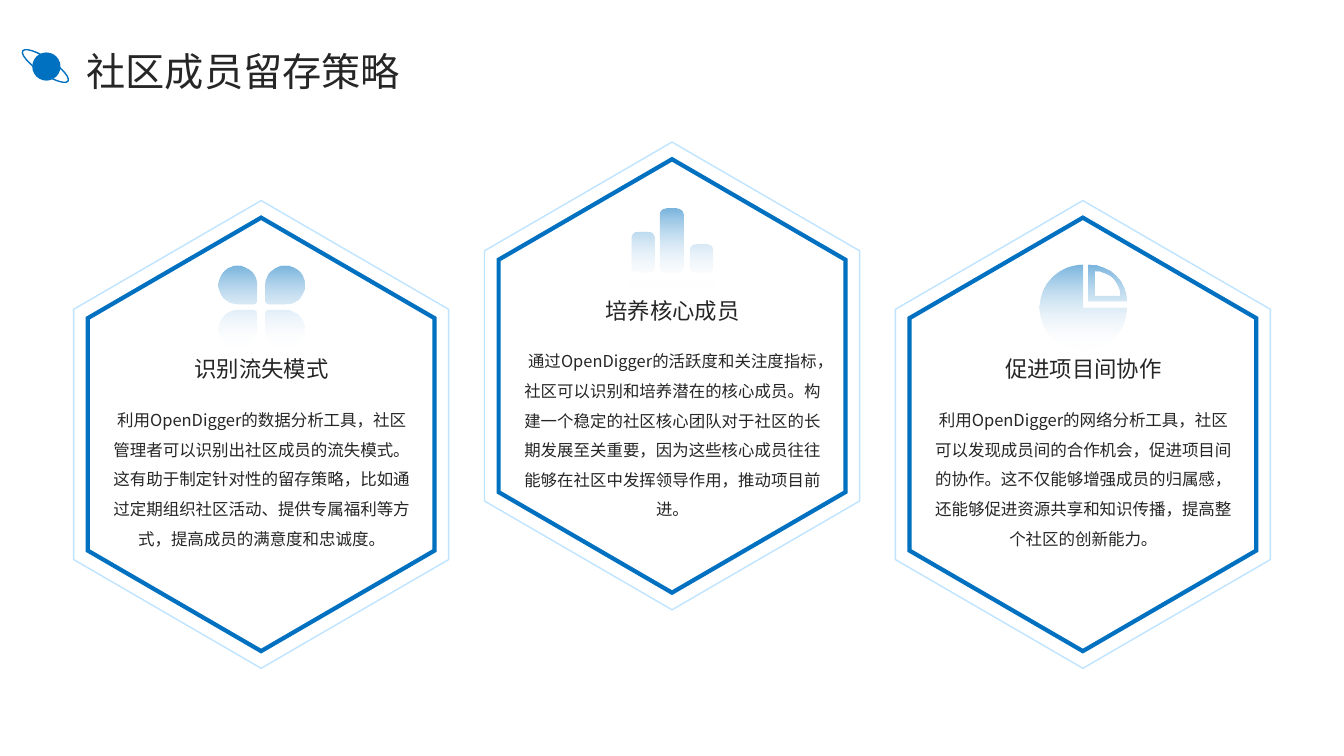
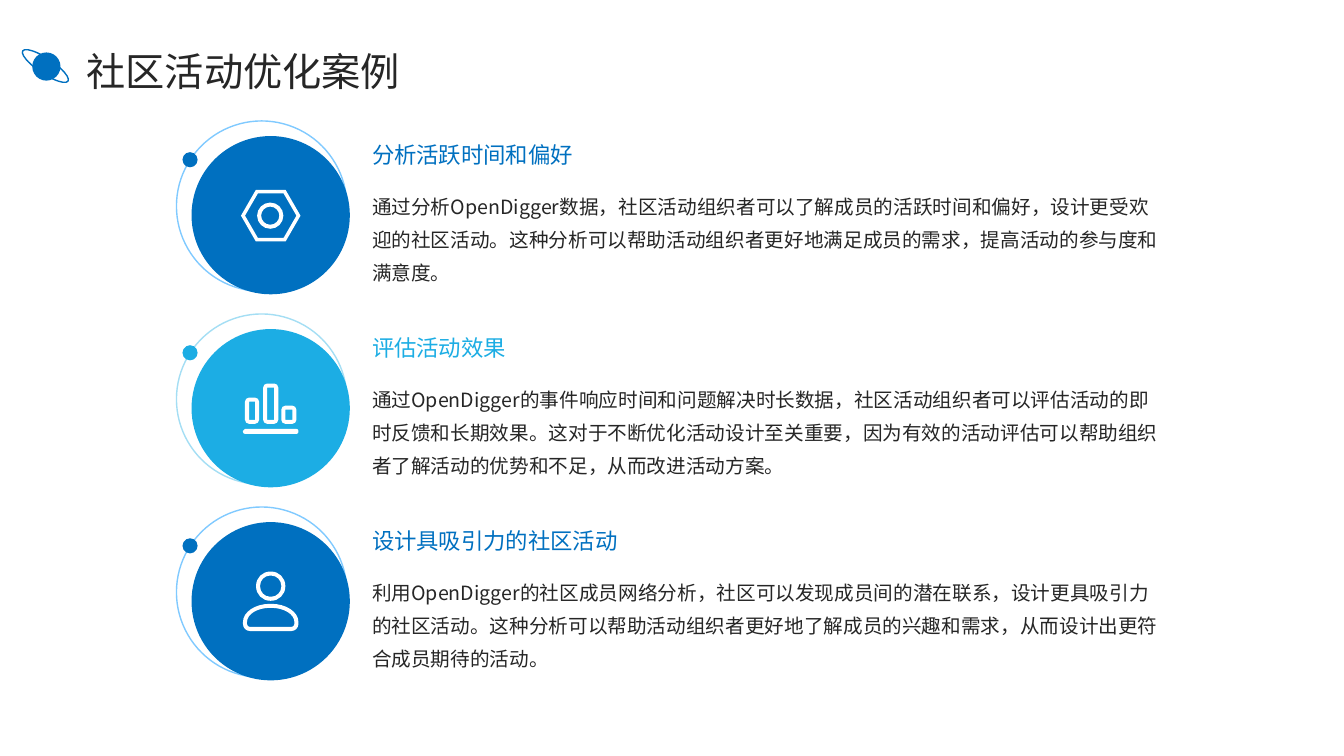
"""Build two slides on keeping community members and improving events."""
import math

import lxml.etree
import pptx
import pptx.dml.color
import pptx.enum.shapes
import pptx.enum.text
import pptx.oxml.ns
import pptx.util

Inches = pptx.util.Inches
Pt = pptx.util.Pt
KIND = pptx.enum.shapes.MSO_SHAPE
ALIGN = pptx.enum.text.PP_ALIGN
ANCHOR = pptx.enum.text.MSO_ANCHOR
qn = pptx.oxml.ns.qn
rgb = pptx.dml.color.RGBColor.from_string

FONT = "Noto Sans CJK SC"
INK, BLUE, SKY, WHITE = "262626", "0070C0", "1CADE4", "FFFFFF"
PALE, SOFT, MIST = "BFE4FF", "80CAFF", "A4DEF4"
BEND = 0.55


def draw(shapes, kind, x, y, w, h, fill=None, line=None, width=1, turn=0):
    shape = shapes.add_shape(kind, Inches(x), Inches(y), Inches(w), Inches(h))
    shape.shadow.inherit = False
    shape.rotation = turn
    if fill:
        shape.fill.solid()
        shape.fill.fore_color.rgb = rgb(fill)
    else:
        shape.fill.background()
    if line:
        shape.line.color.rgb = rgb(line)
        shape.line.width = Pt(width)
        edge = shape._element.spPr.find(qn("a:ln"))
        lxml.etree.SubElement(edge, qn("a:miter")).set("lim", "800000")
    else:
        shape.line.fill.background()
    return shape


def write(slide, text, x, y, w, h, size, space, color=INK,
          align=ALIGN.LEFT, anchor=ANCHOR.TOP):
    box = slide.shapes.add_textbox(Inches(x), Inches(y), Inches(w), Inches(h))
    frame = box.text_frame
    frame.word_wrap = True
    frame.vertical_anchor = anchor
    frame.margin_left = frame.margin_right = 0
    frame.margin_top = frame.margin_bottom = 0
    para = frame.paragraphs[0]
    para.text = text
    para.alignment = align
    para.line_spacing = space
    para.font.size = Pt(size)
    para.font.color.rgb = rgb(color)
    para.font.name = FONT
    props = para._p.pPr.find(qn("a:defRPr"))
    lxml.etree.SubElement(props, qn("a:ea")).set("typeface", FONT)


deck = pptx.Presentation()
deck.slide_width = Inches(13.33)
deck.slide_height = Inches(7.5)
keep, event = [deck.slides.add_slide(deck.slide_layouts[6]) for _ in range(2)]

petals = [
    (-0.42, -1.68, 0.38, 0.39, 0.19, 0.19, 0.03, 0.19),
    (0.04, -1.68, 0.39, 0.39, 0.19, 0.19, 0.19, 0.03),
    (-0.42, -1.24, 0.38, 0.39, 0.19, 0.03, 0.19, 0.19),
    (0.04, -1.24, 0.39, 0.39, 0.03, 0.19, 0.19, 0.19),
]
bars = [
    (-0.4, -1.43, 0.23, 0.4, 0.06, 0.06, 0.06, 0.06),
    (-0.12, -1.66, 0.23, 0.63, 0.06, 0.06, 0.06, 0.06),
    (0.17, -1.31, 0.23, 0.28, 0.06, 0.06, 0.06, 0.06),
    (-0.43, -0.95, 0.86, 0.07, 0.03, 0.03, 0.03, 0.03),
]
pie = [
    (-0.43, -1.69, 0.43, 0.86, 0.43, 0, 0, 0.43),
    (0, -1.26, 0.43, 0.43, 0, 0, 0.43, 0),
    (0.05, -1.69, 0.38, 0.37, 0, 0.37, 0, 0),
    (0.11, -1.62, 0.25, 0.24, 0, 0.24, 0, 0),
]
nut = [
    (-0.29, -0.26, 0.59, 0.52),
    (-0.13, -0.13, 0.26, 0.26, 0.13, 0.13, 0.13, 0.13),
]
chart = [
    (-0.25, -0.11, 0.14, 0.26, 0.04, 0.04, 0.04, 0.04),
    (-0.07, -0.25, 0.15, 0.4, 0.04, 0.04, 0.04, 0.04),
    (0.11, -0.03, 0.15, 0.18, 0.04, 0.04, 0.04, 0.04),
    (-0.27, 0.2, 0.55, 0.05, 0.02, 0.02, 0.02, 0.02),
]
person = [
    (-0.14, -0.3, 0.29, 0.29, 0.14, 0.14, 0.14, 0.14),
    (-0.27, 0.02, 0.55, 0.27, (0.27, 0.18), (0.27, 0.18), 0.07, 0.07),
]
icons = []

cards = [
    (4.31, petals, 11.8, "识别流失模式",
     "利用OpenDigger的数据分析工具，社区管理者可以识别出社区成员的流失模式。"
     "这有助于制定针对性的留存策略，比如通过定期组织社区活动、提供专属福利等方式，"
     "提高成员的满意度和忠诚度。"),
    (3.73, bars, 11.7, "培养核心成员",
     "通过OpenDigger的活跃度和关注度指标，社区可以识别和培养潜在的核心成员。"
     "构建一个稳定的社区核心团队对于社区的长期发展至关重要，"
     "因为这些核心成员往往能够在社区中发挥领导作用，推动项目前进。"),
    (4.31, pie, 11.8, "促进项目间协作",
     "利用OpenDigger的网络分析工具，社区可以发现成员间的合作机会，促进项目间的协作。"
     "这不仅能够增强成员的归属感，还能够促进资源共享和知识传播，提高整个社区的创新能力。"),
]
for i, (cy, parts, size, head, body) in enumerate(cards):
    cx = 2.59 + 8.15 / 2 * i
    for w, h, line, width in [(4.64, 3.72, PALE, 1), (4.3, 3.44, BLUE, 3)]:
        hexa = draw(keep.shapes, KIND.HEXAGON, cx - w / 2, cy - h / 2, w, h,
                    WHITE, line, width, 90)
        hexa.adjustments[0] = 0.29
    icons.append((keep, cx, cy, parts))
    write(keep, head, cx - 1.47, cy - 0.97, 2.95, 0.56, 16, 1.3,
          align=ALIGN.CENTER, anchor=ANCHOR.MIDDLE)
    write(keep, body, cx - 1.47, cy - 0.34, 2.95, 1.62, size, 1.5,
          align=ALIGN.CENTER)

rows = [
    (BLUE, SOFT, nut, "分析活跃时间和偏好",
     "通过分析OpenDigger数据，社区活动组织者可以了解成员的活跃时间和偏好，"
     "设计更受欢迎的社区活动。这种分析可以帮助活动组织者更好地满足成员的需求，"
     "提高活动的参与度和满意度。"),
    (SKY, MIST, chart, "评估活动效果",
     "通过OpenDigger的事件响应时间和问题解决时长数据，"
     "社区活动组织者可以评估活动的即时反馈和长期效果。"
     "这对于不断优化活动设计至关重要，因为有效的活动评估可以帮助组织者了解活动的优势和不足，"
     "从而改进活动方案。"),
    (BLUE, SOFT, person, "设计具吸引力的社区活动",
     "利用OpenDigger的社区成员网络分析，社区可以发现成员间的潜在联系，"
     "设计更具吸引力的社区活动。这种分析可以帮助活动组织者更好地了解成员的兴趣和需求，"
     "从而设计出更符合成员期待的活动。"),
]
for i, (color, ring, parts, head, body) in enumerate(rows):
    top = 1.2 + 3.83 / 2 * i
    draw(event.shapes, KIND.OVAL, 1.75, top, 1.69, 1.69, WHITE, ring)
    draw(event.shapes, KIND.OVAL, 1.9, top + 0.15, 1.57, 1.57, color)
    draw(event.shapes, KIND.OVAL, 1.81, top + 0.31, 0.15, 0.15, color)
    icons.append((event, 2.68, top + 0.94, parts))
    write(event, body, 3.69, top + 0.64, 7.87, 1.02, 14, 1.4)
    write(event, head, 3.69, top + 0.12, 7.87, 0.47, 16, 1.3, color)

for slide, cx, cy, parts in icons:
    pen = None
    curved = []
    for x, y, w, h, *radii in parts:
        hollow = slide is event and h > 0.1
        for inset in (0, 0.04) if hollow else (0,):
            left, right = cx + x + inset, cx + x + w - inset
            high, low = cy + y + inset, cy + y + h - inset
            points, marks = [], []
            if not radii:
                for k in range(6):
                    angle = math.radians(60 * k)
                    reach = (right - left) / 2
                    points.append(((left + right) / 2 + reach * math.cos(angle),
                                   (high + low) / 2 + reach * math.sin(angle)))
                    marks.append(False)
            for k, r in enumerate(radii):
                rx, ry = r if isinstance(r, tuple) else (r, r)
                rx, ry = max(rx - inset, 0), max(ry - inset, 0)
                px, sx = (right, -rx) if k in (1, 2) else (left, rx)
                py, sy = (low, -ry) if k in (2, 3) else (high, ry)
                if not rx:
                    points.append((px, py))
                    marks.append(False)
                    continue
                turn = [(px, py + sy), (px, py + sy * (1 - BEND)),
                        (px + sx * (1 - BEND), py), (px + sx, py)]
                points += turn if k in (0, 2) else turn[::-1]
                marks += [False, True, True, True]
            points = [(Inches(px), Inches(py)) for px, py in points]
            if pen is None:
                pen = slide.shapes.build_freeform(*points[0])
            else:
                pen.move_to(*points[0])
            pen.add_line_segments(points[1:], close=True)
            curved += marks[1:]
    icon = pen.convert_to_shape()
    icon.shadow.inherit = False
    icon.line.fill.background()
    legs = list(icon._element.iter(qn("a:lnTo")))
    bends = [leg for leg, mark in zip(legs, curved) if mark]
    for first, second, third in zip(bends[::3], bends[1::3], bends[2::3]):
        curve = lxml.etree.Element(qn("a:cubicBezTo"))
        first.addprevious(curve)
        for leg in (first, second, third):
            curve.append(leg[0])
            leg.getparent().remove(leg)
    if slide is event:
        icon.fill.solid()
        icon.fill.fore_color.rgb = rgb(WHITE)
        continue
    icon.fill.gradient()
    icon.fill.gradient_angle = 270
    for stop, place, color in zip(icon.fill.gradient_stops, (0, 1), (BLUE, WHITE)):
        stop.position = place
        stop.color.rgb = rgb(color)
    tints = icon._element.spPr.iter(qn("a:srgbClr"))
    for tint, alpha in zip(tints, ("53000", "0")):
        lxml.etree.SubElement(tint, qn("a:alpha")).set("val", alpha)

for slide, title in [(keep, "社区成员留存策略"), (event, "社区活动优化案例")]:
    write(slide, title, 0.86, 0.42, 11.67, 0.51, 28, 1.1, anchor=ANCHOR.MIDDLE)
    planet = slide.shapes.add_group_shape().shapes
    draw(planet, KIND.OVAL, 0.32, 0.52, 0.28, 0.28, BLUE)
    draw(planet, KIND.OVAL, 0.18, 0.58, 0.54, 0.15, line=BLUE, turn=33.8)

deck.save("out.pptx")
